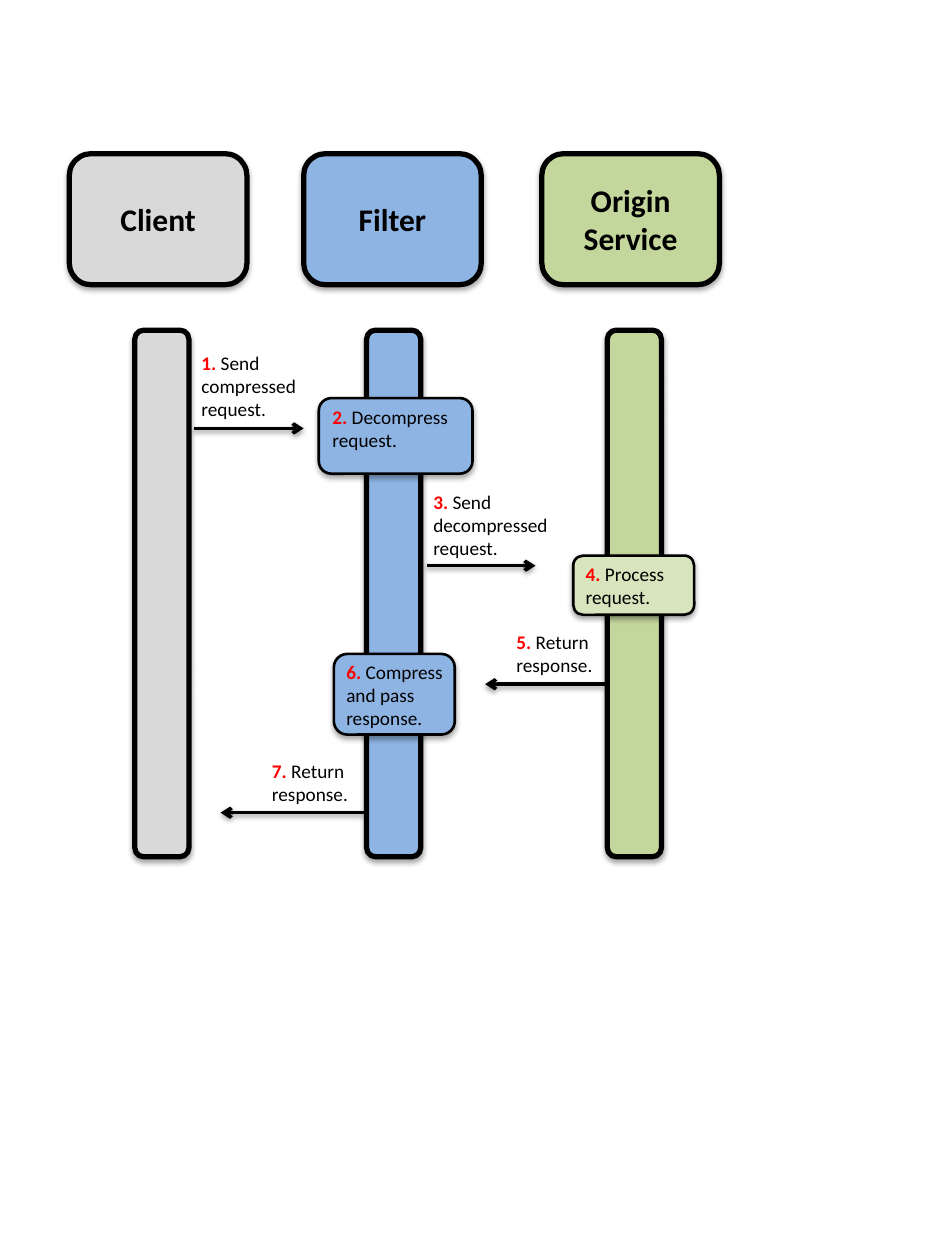
from pptx import Presentation
from pptx.dml.color import RGBColor
from pptx.enum.shapes import MSO_CONNECTOR, MSO_SHAPE
from pptx.enum.text import MSO_ANCHOR, PP_ALIGN
from pptx.oxml import parse_xml
from pptx.oxml.ns import nsdecls
from pptx.util import Inches, Pt

BLACK, RED = "000000", "FF0000"
GRAY, BLUE, GREEN, PALE = "D9D9D9", "8EB4E3", "C3D69B", "D7E4BD"


def color(code):
    return RGBColor.from_string(code)


class Chart:
    font = "Calibri"

    def __init__(self, slide):
        self.slide = slide

    def shadow(self, props, dist, alpha):
        props.append(parse_xml(
            f'<a:effectLst {nsdecls("a")}><a:outerShdw blurRad="{Pt(3.1)}" '
            f'dist="{Pt(dist)}" dir="5400000" rotWithShape="0">'
            f'<a:srgbClr val="{BLACK}"><a:alpha val="{alpha}000"/></a:srgbClr>'
            '</a:outerShdw></a:effectLst>'))

    def style(self, run, size, code, bold):
        run.font.name = self.font
        run.font.size = Pt(size)
        run.font.bold = bold
        run.font.color.rgb = color(code)

    def box(self, x, y, w, h, fill, line=3, title=""):
        box = self.slide.shapes.add_shape(
            MSO_SHAPE.ROUNDED_RECTANGLE, Inches(x), Inches(y), Inches(w), Inches(h))
        box.fill.solid()
        box.fill.fore_color.rgb = color(fill)
        box.line.color.rgb = color(BLACK)
        box.line.width = Pt(line)
        self.shadow(box._element.spPr, 1.8, 35)
        if title:
            frame = box.text_frame
            frame.text = title
            frame.word_wrap = True
            frame.vertical_anchor = MSO_ANCHOR.MIDDLE
            frame.paragraphs[0].alignment = PP_ALIGN.CENTER
            self.style(frame.paragraphs[0].runs[0], 18, BLACK, True)

    def step(self, num, text, x, y, w, h):
        note = self.slide.shapes.add_textbox(Inches(x), Inches(y), Inches(w), Inches(h))
        frame = note.text_frame
        frame.word_wrap = True
        first, *rest = text.split("\n")
        for part, code in ((f"{num}. ", RED), (first, BLACK)):
            run = frame.paragraphs[0].add_run()
            run.text = part
            self.style(run, 11, code, code == RED)
        for part in rest:
            para = frame.add_paragraph()
            para.text = part
            self.style(para.runs[0], 11, BLACK, False)

    def arrow(self, start, end, y):
        line = self.slide.shapes.add_connector(
            MSO_CONNECTOR.STRAIGHT, Inches(start), Inches(y), Inches(end), Inches(y))
        line.line.color.rgb = color(BLACK)
        line.line.width = Pt(2)
        line.line._get_or_add_ln().append(
            parse_xml(f'<a:tailEnd {nsdecls("a")} type="arrow"/>'))
        self.shadow(line._element.spPr, 1.6, 38)


deck = Presentation()
deck.slide_width, deck.slide_height = Inches(7.5), Inches(10)
chart = Chart(deck.slides.add_slide(deck.slide_layouts[6]))

# Lanes: a bar under each title
for title, left, bar, fill in (("Client", 0.55, 1.07, GRAY),
                               ("Origin Service", 4.3, 4.82, GREEN),
                               ("Filter", 2.41, 2.91, BLUE)):
    chart.box(bar, 2.62, 0.43, 4.18, fill)
    chart.box(left, 1.22, 1.41, 1.04, fill, title=title)

# Boxes for work done inside a lane
for x, y, w, h, fill in ((2.53, 3.16, 1.22, 0.6, BLUE),
                         (4.55, 4.41, 0.96, 0.47, PALE),
                         (2.65, 5.19, 0.96, 0.64, BLUE)):
    chart.box(x, y, w, h, fill, 1.5)

# Messages between lanes
for start, end, y in ((1.54, 2.41, 3.4), (3.39, 4.25, 4.49),
                      (4.8, 3.85, 5.43), (2.89, 1.75, 6.45)):
    chart.arrow(start, end, y)

# Numbered steps
steps = (("Send\ncompressed\nrequest.", 1.5, 2.74, 0.98, 0.66),
         ("Decompress\nrequest.", 2.54, 3.17, 1.27, 0.47),
         ("Send decompressed request.", 3.34, 3.84, 1.21, 0.66),
         ("Process request.", 4.55, 4.41, 1.16, 0.47),
         ("Return response.", 4, 4.95, 0.85, 0.47),
         ("Compress\nand pass response.", 2.65, 5.19, 1.16, 0.89),
         ("Return response.", 2.06, 5.98, 0.81, 0.47))
for num, step in enumerate(steps, 1):
    chart.step(num, *step)

deck.save("out.pptx")
